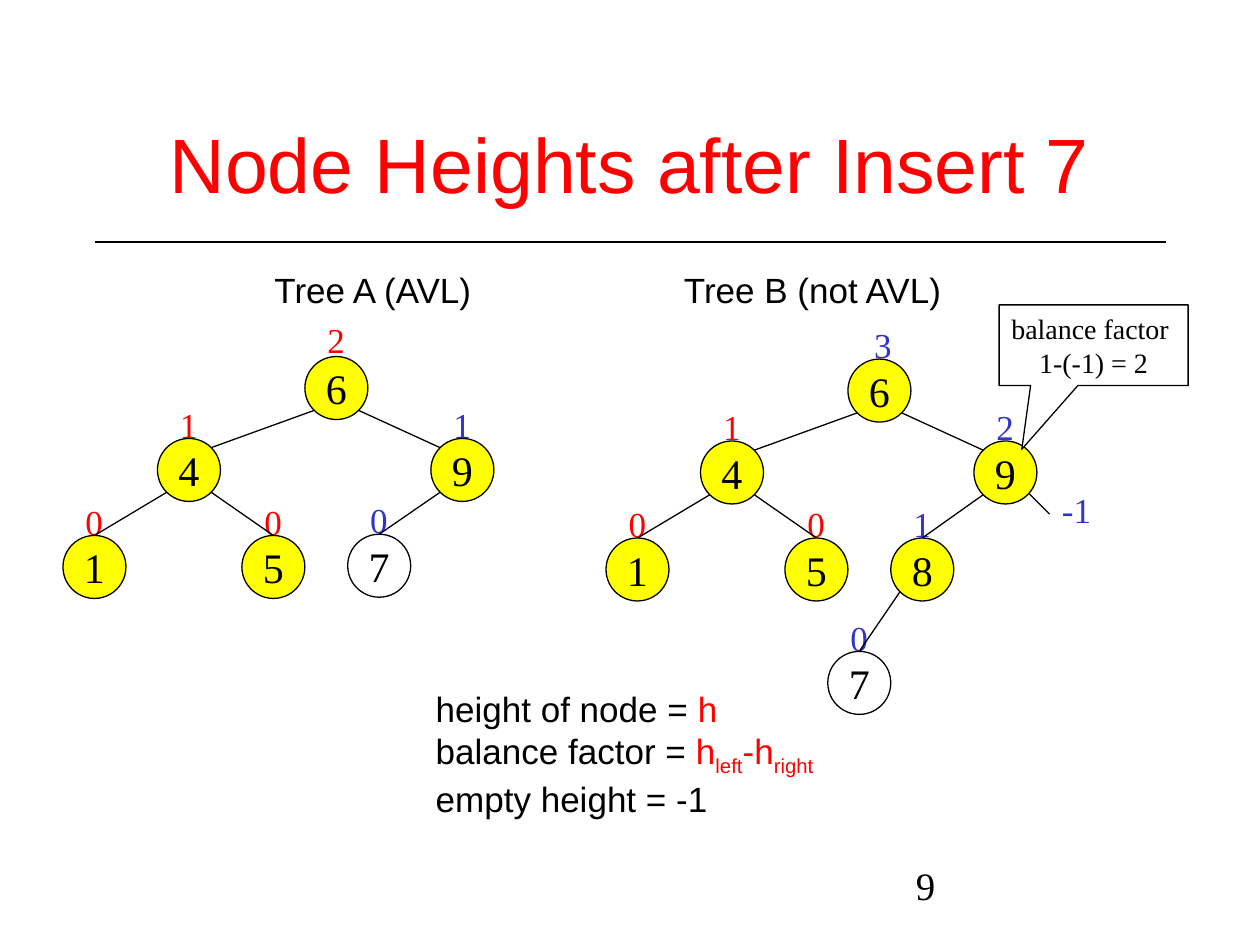
from lxml import etree
from pptx import Presentation
from pptx import util as u
from pptx.dml.color import RGBColor
from pptx.enum import shapes, text
from pptx.oxml.ns import qn

BLACK, WHITE, RED, BLUE, YELLOW = "000000", "FFFFFF", "FF0000", "3333CC", "FFFF00"
SANS, SERIF = "Arial", "Times New Roman"
NODE = 0.5
CENTRE = NODE / 2
DIAGONAL = CENTRE * 0.71  # offset of a circle's 45 degree point from its centre


def color(value):
    return RGBColor.from_string(value)


class TreeSlide:
    """Holds the current slide and the style of its elements."""

    def __init__(self, presentation):
        self.slide = presentation.slides.add_slide(presentation.slide_layouts[5])
        self.line_width = u.Pt(0.75)

    def add_runs(self, frame, paragraphs, size, font, align=None):
        """Each paragraph is a list of (text, colour, baseline percent) runs."""
        for index, runs in enumerate(paragraphs):
            paragraph = frame.paragraphs[0] if index == 0 else frame.add_paragraph()
            paragraph.alignment = align
            for content, shade, baseline in runs:
                run = paragraph.add_run()
                run.text = content
                run.font.size = u.Pt(size)
                run.font.name = font
                run.font.color.rgb = color(shade)
                if baseline:
                    run._r.get_or_add_rPr().set("baseline", str(baseline * 1000))

    def title(self, content, left, top, width, height):
        title = self.slide.shapes.title
        title.left, title.top = u.Inches(left), u.Inches(top)
        title.width, title.height = u.Inches(width), u.Inches(height)
        title.text_frame.vertical_anchor = text.MSO_ANCHOR.MIDDLE
        self.add_runs(title.text_frame, [[(content, RED, 0)]], 44, SANS, text.PP_ALIGN.CENTER)

    def text_box(self, paragraphs, left, top, width, height, size=20, font=SANS, wrap=False):
        box = self.slide.shapes.add_textbox(*map(u.Inches, (left, top, width, height)))
        frame = box.text_frame
        frame.word_wrap = wrap
        frame.auto_size = text.MSO_AUTO_SIZE.SHAPE_TO_FIT_TEXT
        self.add_runs(frame, paragraphs, size, font)
        return box

    def outlined(self, kind, paragraphs, left, top, width, height, fill, size):
        shape = self.slide.shapes.add_shape(kind, *map(u.Inches, (left, top, width, height)))
        shape.shadow.inherit = False
        if fill:
            shape.fill.solid()
            shape.fill.fore_color.rgb = color(fill)
        else:
            shape.fill.background()
        shape.line.color.rgb = color(BLACK)
        shape.line.width = self.line_width
        shape.text_frame.word_wrap = False
        shape.text_frame.vertical_anchor = text.MSO_ANCHOR.MIDDLE
        self.add_runs(shape.text_frame, paragraphs, size, SERIF, text.PP_ALIGN.CENTER)
        return shape

    def line(self, x1, y1, x2, y2):
        connector = self.slide.shapes.add_connector(
            shapes.MSO_CONNECTOR.STRAIGHT, *map(u.Inches, (x1, y1, x2, y2)))
        connector.line.color.rgb = color(BLACK)
        connector.line.width = self.line_width
        etree.SubElement(connector._element.spPr, qn("a:effectLst"))
        return connector

    def height_label(self, value, shade, left, top, width=0.34):
        self.text_box([[(value, shade, 0)]], left, top, width, 0.44, font=SERIF)

    def node(self, key, left, top, height, shade, fill=YELLOW, label_offset=(0.08, -0.33)):
        """A circle with its height just above it."""
        self.height_label(height, shade, left + label_offset[0], top + label_offset[1])
        return self.outlined(shapes.MSO_SHAPE.OVAL, [[(key, BLACK, 0)]],
                             left, top, NODE, NODE, fill, 24)

    def edge(self, parent, child, to_top=True):
        """Runs from the parent's lower diagonal to the child's top or upper diagonal."""
        px, py = parent.left.inches + CENTRE, parent.top.inches + CENTRE
        cx, cy = child.left.inches + CENTRE, child.top.inches + CENTRE
        side = DIAGONAL if cx > px else -DIAGONAL
        if to_top:
            connector = self.line(px + side, py + DIAGONAL, cx, cy - CENTRE)
            connector.end_connect(child, 0)
        else:
            self.line(px + side, py + DIAGONAL, cx - side, cy - DIAGONAL)

    def tree(self, left, top, root_height, right_height, root_label_offset):
        """The part both trees share; returns the right child, which differs below."""
        root = self.node("6", left + 1.92, top, root_height[0], root_height[1],
                         label_offset=root_label_offset)
        four = self.node("4", left + 0.75, top + 0.65, "1", RED)
        nine = self.node("9", left + 2.92, top + 0.65, right_height, BLUE)
        one = self.node("1", left, top + 1.42, "0", RED)
        five = self.node("5", left + 1.42, top + 1.42, "0", RED)
        for child in (four, nine):
            self.edge(root, child, to_top=False)
        for child in (one, five):
            self.edge(four, child)
        return nine


def main():
    presentation = Presentation()
    presentation.slide_width, presentation.slide_height = u.Inches(10), u.Inches(7.5)
    page = TreeSlide(presentation)

    page.line(0.75, 1.92, 9.25, 1.92)
    page.title("Node Heights after Insert 7", 0.75, 0.67, 8.5, 1.25)
    page.text_box([[("Tree A (AVL)", BLACK, 0)]], 2.08, 2.08, 1.83, 0.44, wrap=True)
    page.text_box([[("Tree B (not AVL)", BLACK, 0)]], 5.33, 2.08, 2.5, 0.44, wrap=True)

    nine_a = page.tree(0.5, 2.83, ("2", RED), "1", (0.08, -0.35))
    seven_a = page.node("7", 2.76, 4.24, "0", BLUE, fill=None)
    page.edge(nine_a, seven_a)

    nine_b = page.tree(4.81, 2.85, ("3", BLUE), "2", (0.11, -0.33))
    eight = page.node("8", 7.07, 4.27, "1", BLUE)
    seven_b = page.node("7", 6.57, 5.17, "0", BLUE, fill=None)
    page.edge(nine_b, eight)
    page.edge(eight, seven_b)

    callout = page.outlined(
        shapes.MSO_SHAPE.RECTANGULAR_CALLOUT,
        [[("balance factor ", BLACK, 0)], [("1-(-1) = 2", BLACK, 0)]],
        7.93, 2.42, 1.5, 0.64, WHITE, 16)
    callout.adjustments[0], callout.adjustments[1] = -0.38, 1.29
    page.line(8.17, 3.92, 8.33, 4.08)
    page.height_label("-1", BLUE, 8.33, 3.83, 0.43)

    page.text_box([
        [("height of node = ", BLACK, 0), ("h", RED, 0)],
        [("balance factor = ", BLACK, 0), ("h", RED, 0), ("left", RED, -25),
         ("-h", RED, 0), ("right", RED, -25)],
        [("empty height = -1", BLACK, 0)],
    ], 3.36, 5.41, 3.2, 1.15)

    number = page.text_box([[("9", BLACK, 0)]], 7.17, 6.83, 2.08, 0.5, 22.2, SERIF, wrap=True)
    number.text_frame.auto_size = text.MSO_AUTO_SIZE.NONE
    number.text_frame.paragraphs[0].line_spacing = 0.9
    presentation.save("out.pptx")


if __name__ == "__main__":
    main()
